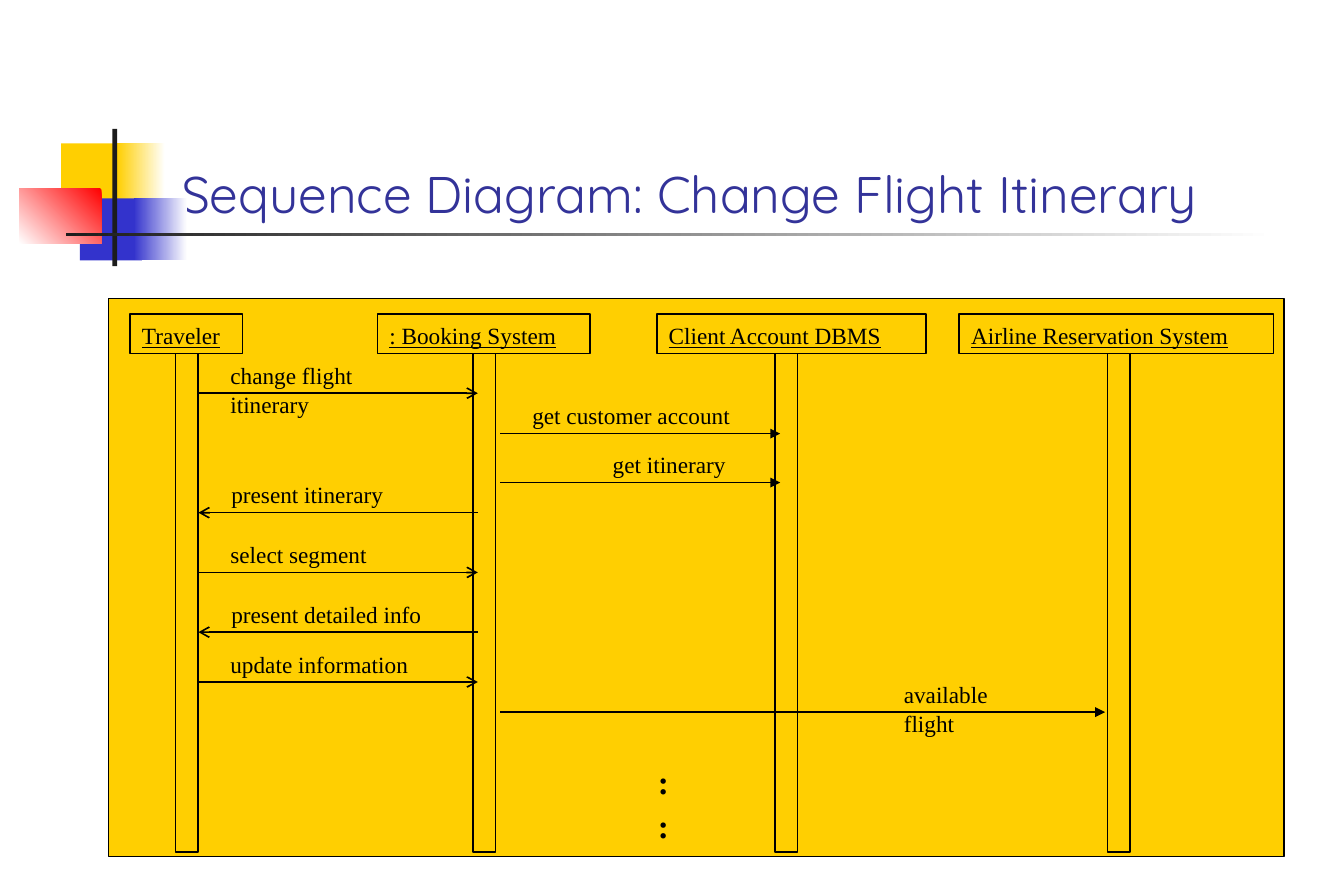
from dataclasses import dataclass

from lxml import etree
from pptx import Presentation
from pptx import util as u
from pptx.dml import color as dml
from pptx.enum import shapes, text
from pptx.oxml import ns


@dataclass(frozen=True)
class Theme:
    yellow: str = "FFCF01"
    blue: str = "3333CC"
    red: str = "FF0000"
    white: str = "FFFFFF"
    charcoal: str = "1C1C1C"
    black: str = "000000"
    heading: str = "333399"
    title_font: str = "Quicksand"
    body_font: str = "Times New Roman"
    title_size: int = 31
    body_size: int = 14
    dots_size: int = 20
    line_width: int = 1


THEME = Theme()

FRAME = {
    "margin_left": u.Cm(0.25), "margin_right": u.Cm(0.25),
    "margin_top": u.Cm(0.13), "margin_bottom": u.Cm(0.13),
    "auto_size": text.MSO_AUTO_SIZE.NONE,
    "vertical_anchor": text.MSO_ANCHOR.TOP,
}

ACCENTS = [
    ((1.3, 3.05, 1.37, 1.32), [THEME.yellow], None),
    ((2.49, 3.05, 1.02, 1.32), [THEME.white, THEME.yellow], 180),
    ((1.7, 4.22, 1.32, 1.32), [THEME.blue], None),
    ((2.84, 4.22, 1.14, 1.32), [THEME.white, THEME.blue], 180),
    ((0.41, 4.01, 1.75, 1.17), [THEME.red, THEME.white], 225),
    ((2.39, 2.74, 0.1, 2.92), [THEME.charcoal], None),
    ((1.4, 4.95, 25.7, 0.08), [THEME.white, THEME.charcoal], 180),
]

HEADER_TOP, HEADER_HEIGHT = 6.68, 0.84
BAR_WIDTH, BAR_HEIGHT = 0.48, 10.59
PARTICIPANTS = [
    ("Traveler", 2.77, 2.39, 3.73),
    (": Booking System", 8.03, 4.52, 10.06),
    ("Client Account DBMS", 13.97, 5.72, 16.48),
    ("Airline Reservation System", 20.4, 6.68, 23.55),
]

TO_BOOKING = (4.22, 10.16, "arrow")
TO_TRAVELER = (10.16, 4.22, "arrow")
TO_CLIENT = (10.64, 16.59, "triangle")
TO_AIRLINE = (10.64, 23.5, "triangle")
MESSAGES = [
    ("change flight itinerary", TO_BOOKING, 8.36, 4.65, 4),
    ("get customer account", TO_CLIENT, 9.22, 11.07, 5.5),
    ("get itinerary", TO_CLIENT, 10.26, 12.78, 5.5),
    ("present itinerary", TO_TRAVELER, 10.9, 4.67, 5.5),
    ("select segment", TO_BOOKING, 12.17, 4.65, 5.5),
    ("present detailed info", TO_TRAVELER, 13.44, 4.67, 5.5),
    ("update information", TO_BOOKING, 14.5, 4.65, 5.5),
    ("available flight", TO_AIRLINE, 15.14, 18.97, 2.8),
]


def rgb(value):
    return dml.RGBColor.from_string(value)


def apply(target, values):
    for name, value in values.items():
        setattr(target, name, value)


def write(frame, wording, color=THEME.black, spacing=1.05, frame_format=None, **font):
    apply(frame, {**FRAME, **(frame_format or {})})
    frame.text = wording
    paragraph = frame.paragraphs[0]
    apply(paragraph, {"alignment": text.PP_ALIGN.LEFT, "line_spacing": spacing})
    for run in paragraph.runs:
        apply(run.font, {"name": THEME.body_font, "size": u.Pt(THEME.body_size), **font})
        run.font.color.rgb = rgb(color)


def add_box(slide, place, colors=(), angle=None, outlined=False):
    box = slide.shapes.add_shape(shapes.MSO_SHAPE.RECTANGLE, *map(u.Cm, place))
    box.shadow.inherit = False
    if not colors:
        box.fill.background()
    elif angle is None:
        box.fill.solid()
        box.fill.fore_color.rgb = rgb(colors[0])
    else:
        box.fill.gradient()
        box.fill.gradient_angle = angle
        for stop, color in zip(box.fill.gradient_stops, colors):
            stop.color.rgb = rgb(color)
    if outlined:
        box.line.color.rgb = rgb(THEME.black)
        box.line.width = u.Pt(THEME.line_width)
    else:
        box.line.fill.background()
    return box


def add_label(slide, wording, place, **formats):
    label = slide.shapes.add_textbox(*map(u.Cm, place))
    write(label.text_frame, wording, frame_format={"word_wrap": True}, **formats)


def add_participant(slide, name, left, width, bar_left):
    header = add_box(slide, (left, HEADER_TOP, width, HEADER_HEIGHT), outlined=True)
    write(header.text_frame, name, frame_format={"word_wrap": False}, underline=True)
    add_box(slide, (bar_left, HEADER_TOP + HEADER_HEIGHT, BAR_WIDTH, BAR_HEIGHT), outlined=True)


def add_message(slide, wording, route, y, label_left, label_width):
    start, end, head = route
    arrow = slide.shapes.add_connector(
        shapes.MSO_CONNECTOR.STRAIGHT, *map(u.Cm, (start, y, end, y)))
    arrow.line.color.rgb = rgb(THEME.black)
    arrow.line.width = u.Pt(THEME.line_width)
    etree.SubElement(arrow.line._get_or_add_ln(), ns.qn("a:tailEnd"), type=head)
    etree.SubElement(arrow._element.spPr, ns.qn("a:effectLst"))
    add_label(slide, wording, (label_left, y - 0.84, label_width, 0.86))


def add_title(slide, wording):
    title = slide.shapes.title
    apply(title, {"left": u.Cm(3.6), "top": u.Cm(1.7),
                  "width": u.Cm(24.36), "height": u.Cm(3.18)})
    write(title.text_frame, wording, THEME.heading, 1.0,
          {"vertical_anchor": text.MSO_ANCHOR.BOTTOM, "word_wrap": True},
          name=THEME.title_font, size=u.Pt(THEME.title_size))


def main():
    deck = Presentation()
    apply(deck, {"slide_width": u.Cm(28.58), "slide_height": u.Cm(19.05)})
    slide = deck.slides.add_slide(deck.slide_layouts[5])
    for place, colors, angle in ACCENTS:
        add_box(slide, place, colors, angle)
    add_title(slide, "Sequence Diagram: Change Flight Itinerary")
    add_box(slide, (2.31, 6.35, 25, 11.86), [THEME.yellow], outlined=True)
    for participant in PARTICIPANTS:
        add_participant(slide, *participant)
    for message in MESSAGES:
        add_message(slide, *message)
    add_label(slide, ":\v:", (13.74, 15.98, 0.74, 1.96), spacing=1.1,
              size=u.Pt(THEME.dots_size), bold=True)
    deck.save("out.pptx")


if __name__ == "__main__":
    main()
